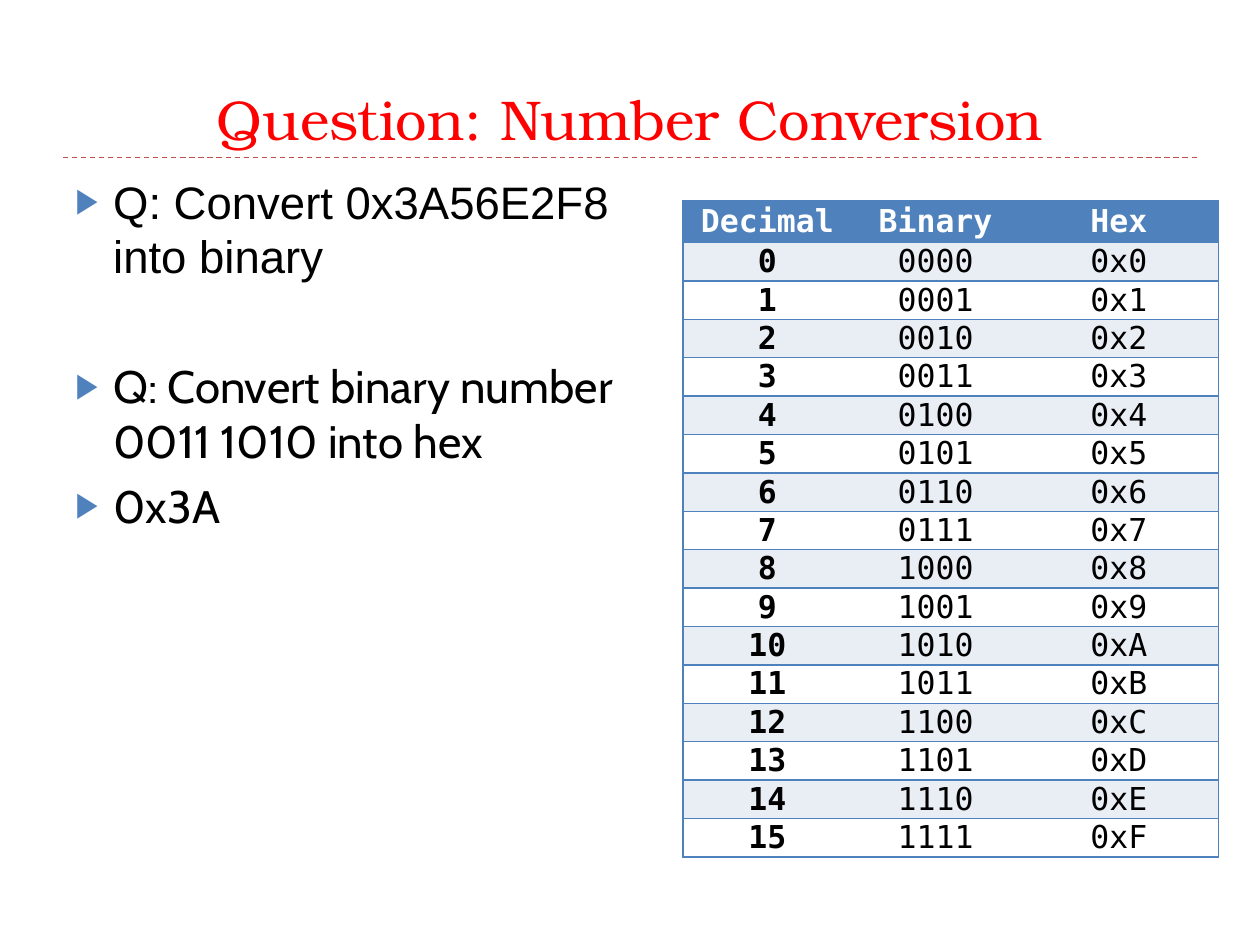
from dataclasses import dataclass

from lxml.etree import SubElement
from pptx import Presentation
from pptx.dml.color import RGBColor
from pptx.enum.dml import MSO_LINE
from pptx.enum.shapes import MSO_CONNECTOR
from pptx.enum.text import MSO_ANCHOR, PP_ALIGN
from pptx.oxml.ns import qn
from pptx.slide import Slide
from pptx.util import Inches, Pt


def color(value):
    """Turn a hex string into a colour."""
    return RGBColor.from_string(value)


def cells(count):
    """Turn a number of half-inch grid cells into a length."""
    return Inches(count / 2)


def write(paragraph, text, *, font, size, ink="000000", bold=False,
          align=PP_ALIGN.LEFT, before=0):
    """Write one formatted run into a paragraph."""
    paragraph.alignment = align
    paragraph.space_before = Pt(before)
    run = paragraph.add_run()
    run.text = text
    run.font.name = font
    run.font.size = Pt(size)
    run.font.bold = bold
    run.font.color.rgb = color(ink)


@dataclass
class Deck:
    """Hold the style and the current slide."""

    slide: Slide
    accent: str = "4F81BD"
    rule: str = "C0504D"
    title_ink: str = "FF0000"
    bands: tuple = ("E9EDF4", "FFFFFF")
    title_font: str = "TeX Gyre Bonum"
    code_font: str = "DejaVu Sans Mono"

    def frame(self, *box, anchor=MSO_ANCHOR.TOP):
        """Add a wrapping text box and return its text frame."""
        shape = self.slide.shapes.add_textbox(*map(cells, box))
        frame = shape.text_frame
        frame.word_wrap = True
        frame.vertical_anchor = anchor
        return frame

    def title(self, text, *box):
        """Add the slide title."""
        frame = self.frame(*box, anchor=MSO_ANCHOR.BOTTOM)
        write(frame.paragraphs[0], text, font=self.title_font, size=32,
              ink=self.title_ink, align=PP_ALIGN.CENTER)

    def divider(self, left, right, top):
        """Add a dashed horizontal line."""
        line = self.slide.shapes.add_connector(
            MSO_CONNECTOR.STRAIGHT, *map(cells, (left, top, right, top)))
        line.line.color.rgb = color(self.rule)
        line.line.width = Pt(0.75)
        line.line.dash_style = MSO_LINE.DASH
        SubElement(line._element.spPr, qn("a:effectLst"))

    def bullets(self, items, *box):
        """Add bulleted paragraphs given as text, font and space before."""
        frame = self.frame(*box)
        for index, (text, font, before) in enumerate(items):
            paragraph = frame.add_paragraph() if index else frame.paragraphs[0]
            write(paragraph, text, font=font, size=26, before=before)
            self.mark(paragraph)

    def mark(self, paragraph):
        """Give a paragraph a triangular bullet and a hanging indent."""
        properties = paragraph._p.get_or_add_pPr()
        properties.set("marL", str(Inches(0.3)))
        properties.set("indent", str(-Inches(0.3)))
        bullet_color = SubElement(properties, qn("a:buClr"))
        SubElement(bullet_color, qn("a:srgbClr"), val=self.accent)
        SubElement(properties, qn("a:buSzPct"), val="76000")
        SubElement(properties, qn("a:buFont"), typeface="Arial")
        SubElement(properties, qn("a:buChar"), char="▶")

    def table(self, rows, left, top, widths, header_height, row_height):
        """Add a banded table with a header row."""
        heights = [header_height] + [row_height] * (len(rows) - 1)
        box = map(cells, (left, top, sum(widths), sum(heights)))
        table = self.slide.shapes.add_table(len(rows), len(widths), *box).table
        for column, width in zip(table.columns, widths):
            column.width = cells(width)
        for row_index, (row, height) in enumerate(zip(rows, heights)):
            table.rows[row_index].height = cells(height)
            header = row_index == 0
            fill = self.accent if header else self.bands[(row_index - 1) % 2]
            for column_index, text in enumerate(row):
                first = column_index == 0
                last = column_index == len(row) - 1
                cell = table.cell(row_index, column_index)
                self.border(cell, first, last)
                cell.fill.solid()
                cell.fill.fore_color.rgb = color(fill)
                cell.vertical_anchor = MSO_ANCHOR.MIDDLE
                cell.margin_left = cell.margin_right = Inches(0.07)
                cell.margin_top = cell.margin_bottom = 0
                write(cell.text_frame.paragraphs[0], text,
                      font=self.code_font, size=18, bold=header or first,
                      ink="FFFFFF" if header else "000000",
                      align=PP_ALIGN.CENTER)

    def border(self, cell, left, right):
        """Rule a cell above and below, and on the chosen sides."""
        properties = cell._tc.get_or_add_tcPr()
        sides = {"L": left, "R": right, "T": True, "B": True}
        for side, visible in sides.items():
            line = SubElement(properties, qn(f"a:ln{side}"), w=str(Pt(1)))
            if visible:
                fill = SubElement(line, qn("a:solidFill"))
                SubElement(fill, qn("a:srgbClr"), val=self.accent)
            else:
                SubElement(line, qn("a:noFill"))


def main():
    """Build the number conversion slide."""
    presentation = Presentation()
    presentation.slide_width = cells(20)
    presentation.slide_height = cells(15)
    blank = presentation.slide_layouts[6]
    deck = Deck(presentation.slides.add_slide(blank))
    deck.divider(1, 19, 2.5)
    deck.title("Question: Number Conversion", 1, 0.34, 18, 2.16)
    deck.bullets([
        ("Q: Convert 0x3A56E2F8 into binary", "Arial", 6),
        ("Q: Convert binary number 0011 1010 into hex", "Cabin", 43),
        ("0x3A", "Cabin", 6),
    ], 1, 2.66, 9.84, 10.8)
    numbers = [(f"{n}", f"{n:04b}", f"0x{n:X}") for n in range(16)]
    deck.table([("Decimal", "Binary", "Hex"), *numbers],
               10.84, 3.18, (2.68, 2.66, 3.16), 0.67, 0.61)
    presentation.save("out.pptx")


if __name__ == "__main__":
    main()
